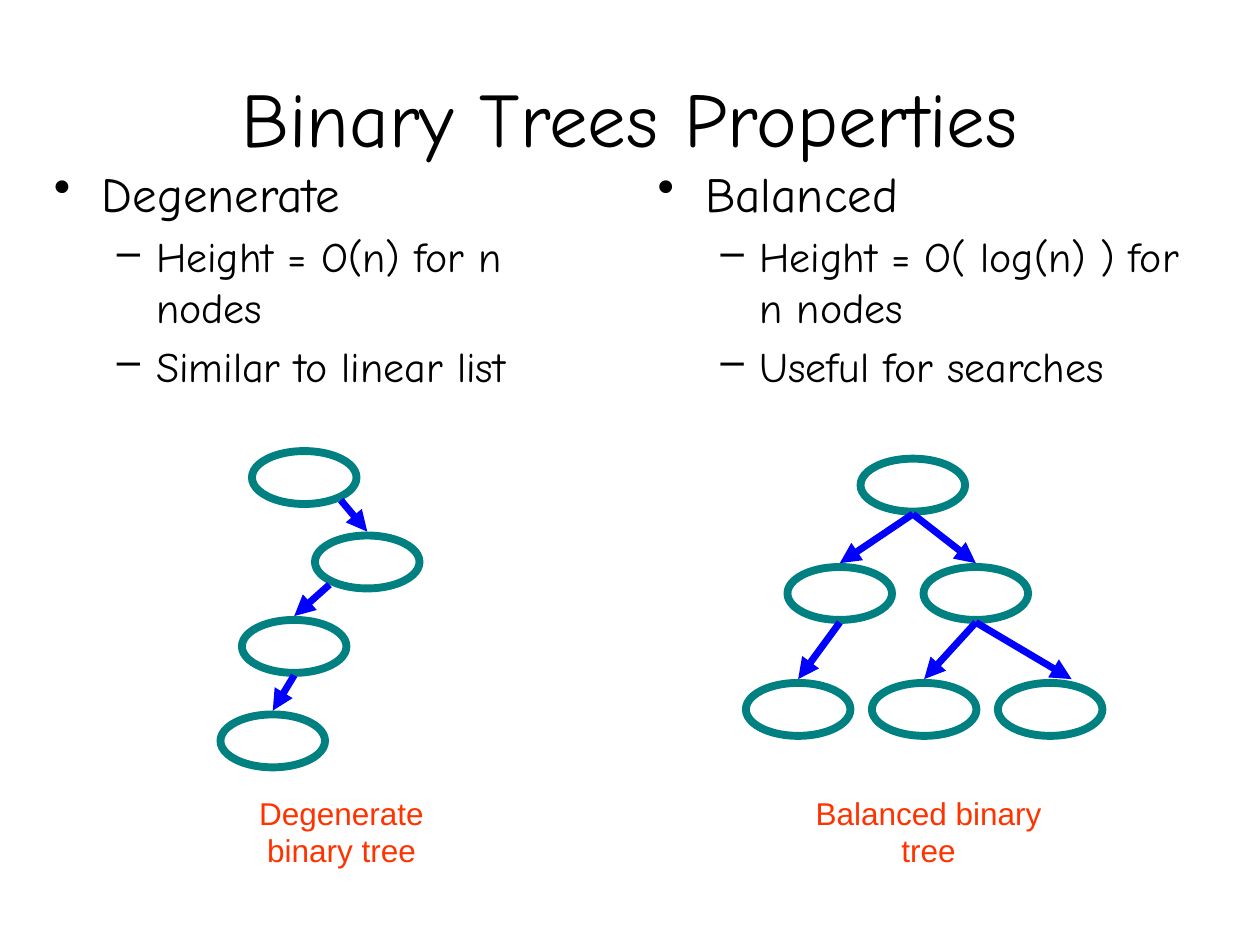
"""Build the slide comparing degenerate and balanced binary trees."""
from dataclasses import dataclass

import lxml.etree
import pptx
import pptx.dml.color
import pptx.enum.shapes
import pptx.enum.text
import pptx.oxml.ns
import pptx.util

Inches = pptx.util.Inches
Pt = pptx.util.Pt
COLORS = {"text": "000000", "node": "008080", "edge": "0000FF", "caption": "FF3300"}
HEADING_FONT = "Comic Neue"
CAPTION_FONT = "Arial"
NODE_WIDTH = 0.83
NODE_HEIGHT = 0.42
EXIT_DROP = 0.44
ENTRY_GAP = 0.03


@dataclass(frozen=True)
class Level:
    bullet: str
    size: float
    margin: float
    hanging: float


@dataclass(frozen=True)
class Edge:
    parent: int
    child: int
    exit_shift: float = 0
    exit_drop: float = EXIT_DROP
    entry_shift: float = 0


@dataclass(frozen=True)
class Tree:
    heading: str
    points: tuple[str, ...]
    body_left: float
    body_width: float
    nodes: tuple[tuple[float, float], ...]
    edges: tuple[Edge, ...]
    caption: str
    caption_left: float


HEADING_LEVEL = Level("•", 28, 0.38, 0.38)
POINT_LEVEL = Level("–", 24, 0.81, 0.31)

TREES = (
    Tree(
        "Degenerate",
        ("Height = O(n) for n nodes", "Similar to linear list"),
        0.33, 4.58,
        ((2, 3.58), (2.5, 4.25), (1.92, 4.92), (1.75, 5.67)),
        (Edge(0, 1, 0.29, 0.39), Edge(1, 2, -0.3, 0.39), Edge(2, 3)),
        "Degenerate binary tree", 1.67,
    ),
    Tree(
        "Balanced",
        ("Height = O( log(n) ) for n nodes", "Useful for searches"),
        5.12, 4.38,
        ((6.83, 3.64), (6.25, 4.5), (7.33, 4.5), (5.92, 5.42), (6.92, 5.42), (7.92, 5.42)),
        (Edge(0, 1), Edge(0, 2), Edge(1, 3), Edge(2, 4), Edge(2, 5, entry_shift=0.17)),
        "Balanced binary tree", 6.33,
    ),
)


def color(name: str) -> pptx.dml.color.RGBColor:
    """Return a palette colour."""
    return pptx.dml.color.RGBColor.from_string(COLORS[name])


def add_text_frame(slide, left: float, top: float, width: float, height: float):
    """Add a wrapping text box and return its frame."""
    box = slide.shapes.add_textbox(Inches(left), Inches(top), Inches(width), Inches(height))
    box.text_frame.word_wrap = True
    return box.text_frame


def add_run(paragraph, text: str, font: str, size: float, color_name: str) -> None:
    """Append a formatted run."""
    run = paragraph.add_run()
    run.text = text
    run.font.name = font
    run.font.size = Pt(size)
    run.font.color.rgb = color(color_name)


def add_centered(slide, text: str, box: tuple[float, float, float, float],
                 font: str, size: float, color_name: str):
    """Add a centred line of text and return its frame."""
    frame = add_text_frame(slide, *box)
    paragraph = frame.paragraphs[0]
    paragraph.alignment = pptx.enum.text.PP_ALIGN.CENTER
    add_run(paragraph, text, font, size, color_name)
    return frame


def add_bullet(paragraph, text: str, level: Level) -> None:
    """Fill a paragraph as a bullet with a hanging indent."""
    properties = paragraph._p.get_or_add_pPr()
    properties.set("marL", str(Inches(level.margin)))
    properties.set("indent", str(-Inches(level.hanging)))
    lxml.etree.SubElement(properties, pptx.oxml.ns.qn("a:buChar"), char=level.bullet)
    add_run(paragraph, text, HEADING_FONT, level.size, "text")


def add_body(slide, tree: Tree) -> None:
    """Add the heading and the points of a tree."""
    frame = add_text_frame(slide, tree.body_left, 1.25, tree.body_width, 5.83)
    add_bullet(frame.paragraphs[0], tree.heading, HEADING_LEVEL)
    for point in tree.points:
        paragraph = frame.add_paragraph()
        paragraph.level = 1
        paragraph.space_before = Pt(0.2 * POINT_LEVEL.size)
        add_bullet(paragraph, point, POINT_LEVEL)


def add_node(slide, left: float, top: float) -> None:
    """Add an empty tree node."""
    node = slide.shapes.add_shape(
        pptx.enum.shapes.MSO_SHAPE.OVAL,
        Inches(left), Inches(top), Inches(NODE_WIDTH), Inches(NODE_HEIGHT))
    node.shadow.inherit = False
    node.fill.background()
    node.line.color.rgb = color("node")
    node.line.width = Pt(4.5)


def add_edge(slide, tree: Tree, edge: Edge) -> None:
    """Add an arrow from a parent node to its child."""
    parent_left, parent_top = tree.nodes[edge.parent]
    child_left, child_top = tree.nodes[edge.child]
    middle = NODE_WIDTH / 2
    arrow = slide.shapes.add_connector(
        pptx.enum.shapes.MSO_CONNECTOR.STRAIGHT,
        Inches(parent_left + middle + edge.exit_shift),
        Inches(parent_top + edge.exit_drop),
        Inches(child_left + middle + edge.entry_shift),
        Inches(child_top - ENTRY_GAP))
    arrow.line.color.rgb = color("edge")
    arrow.line.width = Pt(4)
    qn = pptx.oxml.ns.qn
    lxml.etree.SubElement(arrow.line._get_or_add_ln(), qn("a:tailEnd"), type="triangle")
    lxml.etree.SubElement(arrow._element.spPr, qn("a:effectLst"))


def add_tree(slide, tree: Tree) -> None:
    """Add a tree with its text, nodes, arrows and caption."""
    add_body(slide, tree)
    for left, top in tree.nodes:
        add_node(slide, left, top)
    for edge in tree.edges:
        add_edge(slide, tree, edge)
    add_centered(slide, tree.caption, (tree.caption_left, 6.25, 2.08, 0.9),
                 CAPTION_FONT, 18, "caption")


def main() -> None:
    """Build and save the presentation."""
    presentation = pptx.Presentation()
    presentation.slide_width = Inches(10)
    presentation.slide_height = Inches(7.5)
    slide = presentation.slides.add_slide(presentation.slide_layouts[6])
    title = add_centered(slide, "Binary Trees Properties", (0.5, 0.3, 9, 1.25),
                         HEADING_FONT, 44, "text")
    title.vertical_anchor = pptx.enum.text.MSO_ANCHOR.MIDDLE
    for tree in TREES:
        add_tree(slide, tree)
    presentation.save("out.pptx")


if __name__ == "__main__":
    main()
